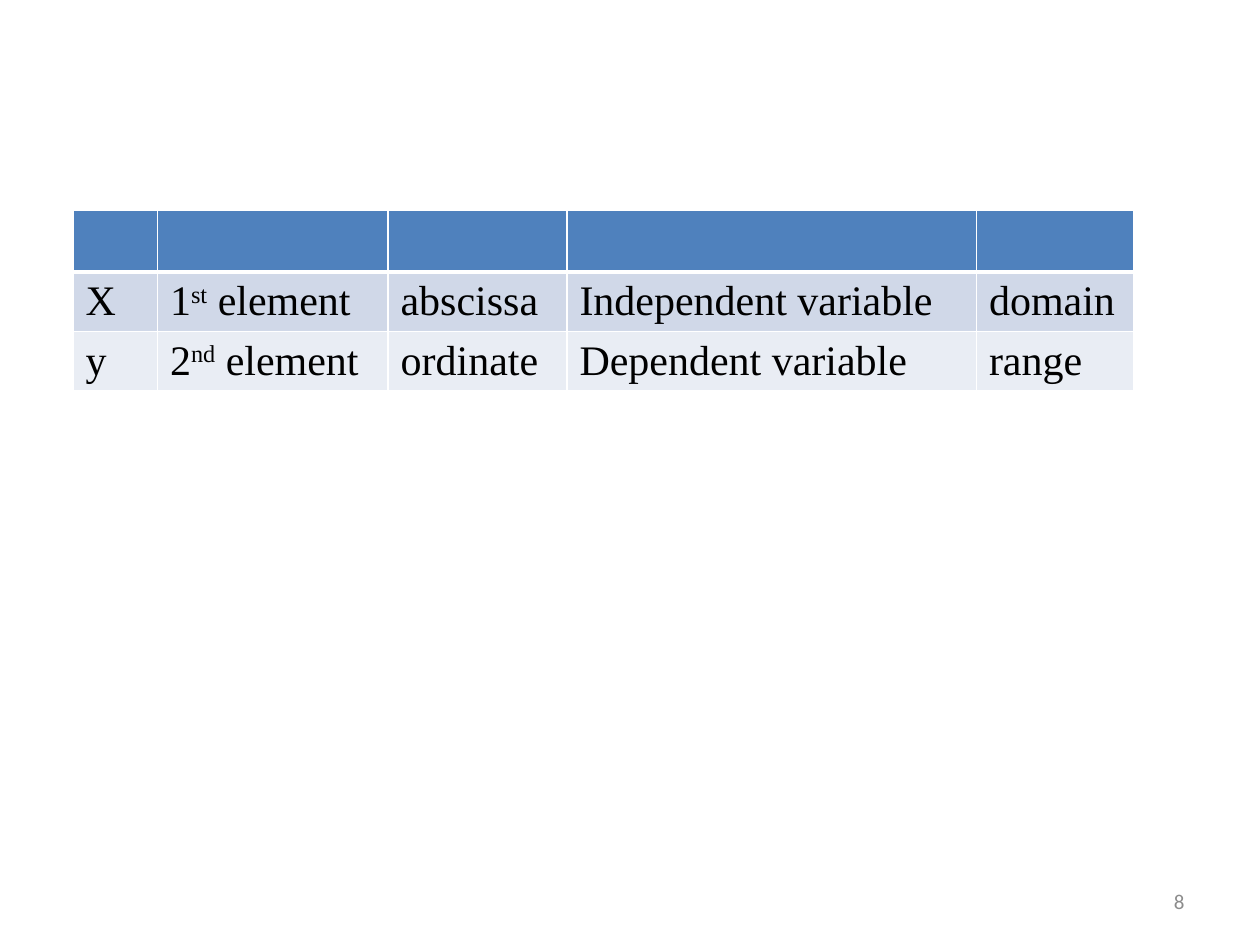
"""Build a slide with a table of terms for the x and y of an ordered pair."""
import dataclasses
import typing

import lxml.etree
import pptx
import pptx.dml.color
import pptx.enum.text
import pptx.oxml.ns
import pptx.util

Inches = pptx.util.Inches
Pt = pptx.util.Pt
RGB = pptx.dml.color.RGBColor.from_string


@dataclasses.dataclass(frozen=True)
class Theme:
    header: str = "4F81BD"
    border: str = "FFFFFF"
    text: str = "000000"
    muted: str = "8C8C8C"
    table_font: str = "Times New Roman"
    number_font: str = "Calibri"
    table_size: int = 24
    number_size: int = 12
    thin: int = 1
    thick: int = 3


class Row(typing.NamedTuple):
    height: float
    fill: str
    cells: tuple[str, ...]
    top: int = 1
    bottom: int = 1


THEME = Theme()
COLUMNS = (0.67, 1.83, 1.42, 3.25, 1.25)
ROWS = (
    Row(0.49, THEME.header, ("",) * len(COLUMNS), bottom=THEME.thick),
    Row(0.47, "D0D8E8", ("X", "1^st^ element", "abscissa", "Independent variable", "domain"), top=THEME.thick),
    Row(0.47, "E9EDF4", ("y", "2^nd^ element", "ordinate", "Dependent variable", "range")),
)


def style_font(font: typing.Any, name: str, size: int, color: str) -> None:
    font.name = name
    font.size = Pt(size)
    font.color.rgb = RGB(color)


def add_border(cell: typing.Any, side: str, width: int) -> None:
    qn = pptx.oxml.ns.qn
    tc_pr = cell._tc.get_or_add_tcPr()
    ln = lxml.etree.SubElement(tc_pr, qn(f"a:ln{side}"), w=str(Pt(width)))
    fill = lxml.etree.SubElement(ln, qn("a:solidFill"))
    lxml.etree.SubElement(fill, qn("a:srgbClr"), val=THEME.border)


def write_cell(cell: typing.Any, text: str) -> None:
    """Write text whose ^marked^ parts are superscript."""
    p = cell.text_frame.paragraphs[0]
    style_font(p.font, THEME.table_font, THEME.table_size, THEME.text)
    for i, part in enumerate(text.split("^")):
        r = p.add_run()
        r.text = part
        style_font(r.font, THEME.table_font, THEME.table_size, THEME.text)
        if i % 2:
            r.font._element.set("baseline", "30000")


def add_terms_table(s: typing.Any) -> None:
    height = sum(row.height for row in ROWS)
    table = s.shapes.add_table(
        len(ROWS), len(COLUMNS), Inches(0.58), Inches(1.67), Inches(sum(COLUMNS)), Inches(height)
    ).table
    for column, width in zip(table.columns, COLUMNS):
        column.width = Inches(width)
    for i, row in enumerate(ROWS):
        table.rows[i].height = Inches(row.height)
        for cell, text in zip(table.rows[i].cells, row.cells):
            for side, width in zip("LRTB", (THEME.thin, THEME.thin, row.top, row.bottom)):
                add_border(cell, side, width)
            cell.fill.solid()
            cell.fill.fore_color.rgb = RGB(row.fill)
            if text:
                write_cell(cell, text)


def add_slide_number(s: typing.Any, number: str) -> None:
    tf = s.shapes.add_textbox(Inches(7.17), Inches(6.95), Inches(2.33), Inches(0.4)).text_frame
    tf.word_wrap = True
    tf.vertical_anchor = pptx.enum.text.MSO_ANCHOR.MIDDLE
    p = tf.paragraphs[0]
    p.text = number
    p.alignment = pptx.enum.text.PP_ALIGN.RIGHT
    style_font(p.font, THEME.number_font, THEME.number_size, THEME.muted)


def main() -> None:
    prs = pptx.Presentation()
    prs.slide_width, prs.slide_height = Inches(10), Inches(7.5)
    s = prs.slides.add_slide(prs.slide_layouts[6])
    add_terms_table(s)
    add_slide_number(s, "8")
    prs.save("out.pptx")


if __name__ == "__main__":
    main()
